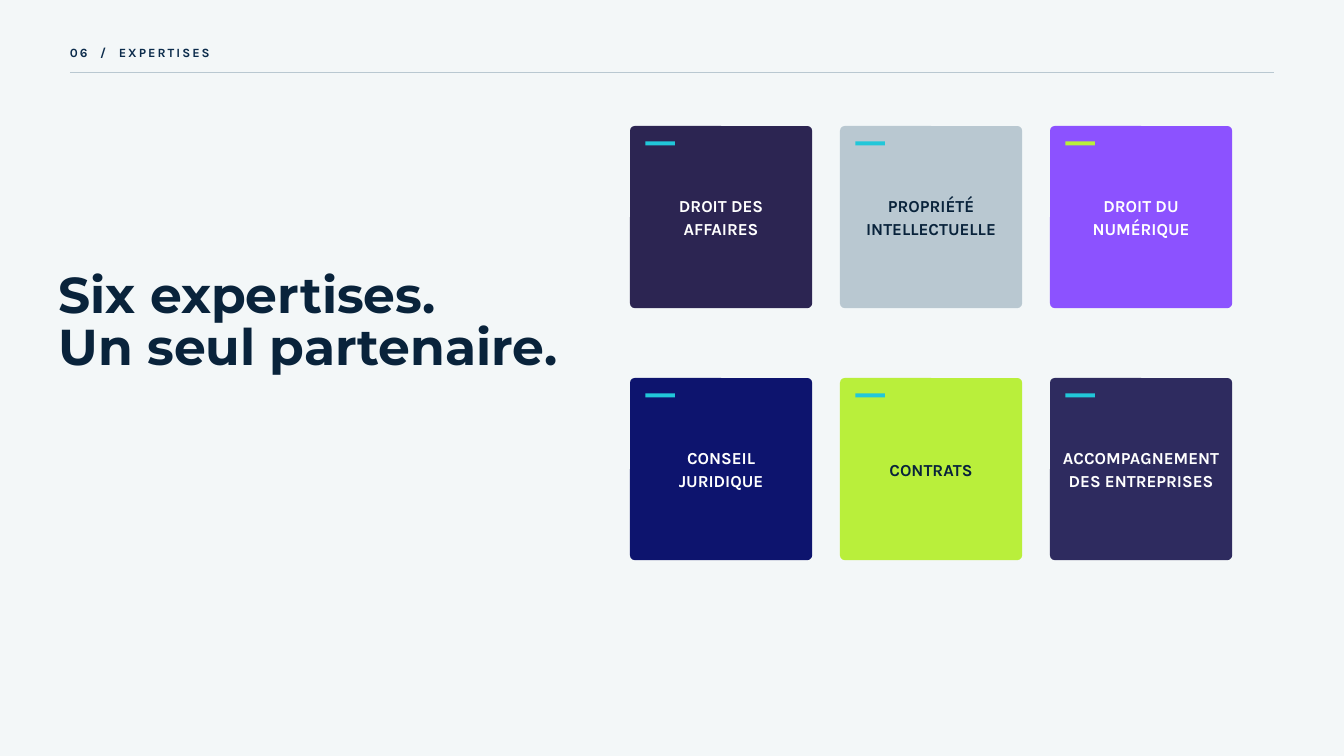
"""Build the slide presenting the six areas of legal expertise."""
from lxml import etree
from pptx import Presentation
from pptx.dml.color import RGBColor
from pptx.enum import shapes, text
from pptx.oxml import ns
from pptx.util import Inches, Pt

PAPER = RGBColor(0xF3, 0xF7, 0xF8)
NAVY = RGBColor(0x09, 0x23, 0x3B)
HEADER = RGBColor(0x0B, 0x2B, 0x4B)
MIST = RGBColor(0xB9, 0xC8, 0xD1)
WHITE = RGBColor(0xFF, 0xFF, 0xFF)
PLUM = RGBColor(0x2C, 0x25, 0x52)
VIOLET = RGBColor(0x8C, 0x52, 0xFF)
ROYAL = RGBColor(0x0D, 0x14, 0x6E)
LIME = RGBColor(0xB9, 0xEF, 0x3B)
INDIGO = RGBColor(0x2E, 0x2B, 0x5F)
CYAN = RGBColor(0x21, 0xC7, 0xD9)

HEADER_RUNS = [("06", 2.2), (" ", 8), ("/", 2.2), (" ", 8), ("EXPERTISES", 2.2)]
TITLE = ["Six expertises.", "Un seul partenaire."]
CARDS = [
    (["DROIT DES", "AFFAIRES"], PLUM, WHITE, CYAN),
    (["PROPRIÉTÉ", "INTELLECTUELLE"], MIST, NAVY, CYAN),
    (["DROIT DU", "NUMÉRIQUE"], VIOLET, WHITE, LIME),
    (["CONSEIL", "JURIDIQUE"], ROYAL, WHITE, CYAN),
    (["CONTRATS"], LIME, NAVY, CYAN),
    (["ACCOMPAGNEMENT", "DES ENTREPRISES"], INDIGO, WHITE, CYAN),
]
COLUMNS, CARD, RADIUS = 3, 2.71, 0.07
LEFT, TOP, STEP_X, STEP_Y = 9.375, 1.875, 3.125, 3.75

HEADER_FONT = {"name": "Karla", "size": Pt(13.5), "bold": True}
TITLE_FONT = {"name": "Montserrat", "size": Pt(54), "bold": True}
CARD_FONT = {"name": "Karla", "size": Pt(18), "bold": True}


def style(font, formats, color):
    for name, value in formats.items():
        setattr(font, name, value)
    font.color.rgb = color


def set_frame(tf, margins, anchor):
    sides = ("left", "top", "right", "bottom")
    for side, margin in zip(sides, margins):
        setattr(tf, f"margin_{side}", Inches(margin))
    tf.word_wrap = True
    tf.vertical_anchor = anchor


def add_lines(tf, lines, formats, color, spacing, align):
    for i, line in enumerate(lines):
        p = tf.paragraphs[0] if i == 0 else tf.add_paragraph()
        p.alignment = align
        p.line_spacing = Pt(spacing)
        r = p.add_run()
        r.text = line
        style(r.font, formats, color)


def add_text_box(s, x, y, w, h):
    tf = s.shapes.add_textbox(*map(Inches, (x, y, w, h))).text_frame
    set_frame(tf, (0, 0, 0, 0), text.MSO_ANCHOR.TOP)
    return tf


def add_block(s, kind, x, y, w, h, color):
    sp = s.shapes.add_shape(kind, *map(Inches, (x, y, w, h)))
    sp.shadow.inherit = False
    sp.fill.solid()
    sp.fill.fore_color.rgb = color
    sp.line.fill.background()
    return sp


def add_header(s):
    p = add_text_box(s, 1.04, 0.63, 6.46, 0.24).paragraphs[0]
    p.line_spacing = Pt(18.9)
    for words, tracking in HEADER_RUNS:
        r = p.add_run()
        r.text = words
        style(r.font, HEADER_FONT, HEADER)
        r.font._element.set("spc", str(round(tracking * 100)))
    rule = s.shapes.add_connector(
        shapes.MSO_CONNECTOR.STRAIGHT, *map(Inches, (1.04, 1.08, 18.96, 1.08)))
    rule.line.color.rgb = MIST
    rule.line.width = Pt(1)
    etree.SubElement(rule._element.spPr, ns.qn("a:effectLst"))


def add_card(s, x, y, lines, fill, ink, accent):
    kinds = shapes.MSO_SHAPE
    card = add_block(s, kinds.ROUNDED_RECTANGLE, x, y, CARD, CARD, fill)
    card.adjustments[0] = RADIUS / CARD
    set_frame(card.text_frame, (0.06, 0.06, 0.06, 0.1), text.MSO_ANCHOR.MIDDLE)
    add_lines(card.text_frame, lines, CARD_FONT, ink, 25.2, text.PP_ALIGN.CENTER)
    add_block(s, kinds.RECTANGLE, x + 0.23, y + 0.23, 0.44, 0.06, accent)


def main():
    prs = Presentation()
    prs.slide_width, prs.slide_height = Inches(20), Inches(11.25)
    s = prs.slides.add_slide(prs.slide_layouts[6])
    s.background.fill.solid()
    s.background.fill.fore_color.rgb = PAPER
    add_header(s)
    title = add_text_box(s, 0.87, 4.05, 7.92, 1.58)
    add_lines(title, TITLE, TITLE_FONT, NAVY, 55.6, text.PP_ALIGN.LEFT)
    for i, card in enumerate(CARDS):
        row, column = divmod(i, COLUMNS)
        add_card(s, LEFT + column * STEP_X, TOP + row * STEP_Y, *card)
    prs.save("out.pptx")


if __name__ == "__main__":
    main()
